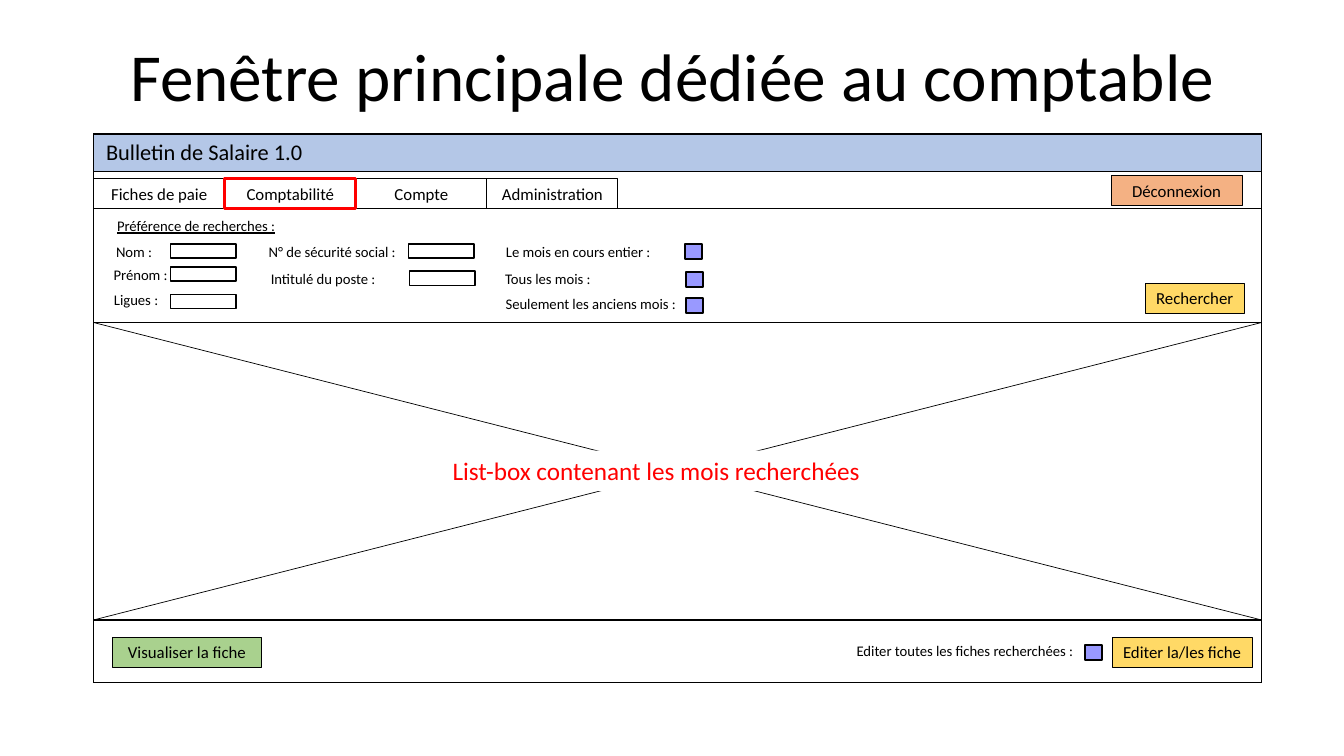
from dataclasses import dataclass
from typing import Optional

from lxml.etree import SubElement
from pptx import Presentation
from pptx.dml.color import RGBColor
from pptx.enum.shapes import MSO_CONNECTOR, MSO_SHAPE
from pptx.enum.text import MSO_ANCHOR, MSO_AUTO_SIZE, PP_ALIGN
from pptx.oxml.ns import qn
from pptx.util import Inches, Pt

COLORS = {
    "black": "000000", "white": "FFFFFF", "red": "FF0000", "blue": "B4C7E7",
    "orange": "F4B183", "yellow": "FFD966", "green": "A9D18E", "violet": "9999FF",
}
FONT = "Calibri"
WINDOW_LEFT, WINDOW_WIDTH = 0.93, 11.58
WINDOW_TOP, WINDOW_BOTTOM = 1.33, 6.77
PANEL_TOP, LIST_TOP, LIST_BOTTOM = 2.07, 3.2, 6.15
TAB_WIDTH, BUTTON_HEIGHT = 1.3, 0.3


@dataclass
class Box:
    left: float
    top: float
    width: float
    height: float
    fill: Optional[str] = None
    line: Optional[str] = "black"
    line_width: float = 1


@dataclass
class Button:
    text: str
    left: float
    top: float
    width: float
    fill: Optional[str] = None
    line: str = "black"
    line_width: float = 0.75


@dataclass
class Label:
    text: str
    left: float
    top: float
    width: float
    underline: bool = False


def color(name: str) -> RGBColor:
    return RGBColor.from_string(COLORS[name])


def write_text(shape, text: str, *, size: float, font_color: str = "black",
               align=PP_ALIGN.CENTER, anchor=MSO_ANCHOR.TOP, wrap: bool = False,
               line_spacing: Optional[float] = None, underline: bool = False) -> None:
    frame = shape.text_frame
    frame.auto_size = MSO_AUTO_SIZE.NONE
    frame.word_wrap = wrap
    frame.vertical_anchor = anchor
    paragraph = frame.paragraphs[0]
    paragraph.alignment = align
    if line_spacing:
        paragraph.line_spacing = line_spacing
    run = paragraph.add_run()
    run.text = text
    run.font.name = FONT
    run.font.size = Pt(size)
    run.font.color.rgb = color(font_color)
    if underline:
        run.font.underline = True


def place(shape, left: float, top: float, width: float, height: float) -> None:
    shape.left, shape.top = Inches(left), Inches(top)
    shape.width, shape.height = Inches(width), Inches(height)


def draw_box(slide, box: Box):
    shape = slide.shapes.add_shape(
        MSO_SHAPE.RECTANGLE, Inches(box.left), Inches(box.top),
        Inches(box.width), Inches(box.height))
    shape.shadow.inherit = False
    if box.fill:
        shape.fill.solid()
        shape.fill.fore_color.rgb = color(box.fill)
    else:
        shape.fill.background()
    if box.line:
        shape.line.color.rgb = color(box.line)
        shape.line.width = Pt(box.line_width)
    else:
        shape.line.fill.background()
    return shape


def draw_button(slide, button: Button) -> None:
    shape = draw_box(slide, Box(button.left, button.top, button.width, BUTTON_HEIGHT,
                                button.fill, button.line, button.line_width))
    write_text(shape, button.text, size=12)


def draw_label(slide, label: Label) -> None:
    shape = slide.shapes.add_textbox(
        Inches(label.left), Inches(label.top), Inches(label.width), Inches(0.28))
    write_text(shape, label.text, size=10.5, underline=label.underline)


def draw_diagonal(slide, start_x: float, end_x: float) -> None:
    connector = slide.shapes.add_connector(
        MSO_CONNECTOR.STRAIGHT, Inches(start_x), Inches(LIST_TOP),
        Inches(end_x), Inches(LIST_BOTTOM))
    connector.line.color.rgb = color("black")
    connector.line.width = Pt(0.5)
    SubElement(connector._element.spPr, qn("a:effectLst"))


def window_band(top: float, bottom: float, fill: Optional[str] = None) -> Box:
    return Box(WINDOW_LEFT, top, WINDOW_WIDTH, bottom - top, fill)


BANDS = [
    window_band(WINDOW_TOP, WINDOW_BOTTOM),
    window_band(WINDOW_TOP, 1.7, "blue"),
    window_band(PANEL_TOP, WINDOW_BOTTOM),
    window_band(LIST_TOP, LIST_BOTTOM),
]
TABS = ["Fiches de paie", "Comptabilité", "Compte", "Administration"]
ACTIVE_TAB = "Comptabilité"
BUTTONS = [
    Button("Déconnexion", 11.02, 1.74, 1.3, "orange"),
    Button("Rechercher", 11.36, 2.81, 0.98, "yellow"),
    Button("Editer la/les fiche", 11.03, 6.32, 1.39, "yellow"),
    Button("Visualiser la fiche", 1.12, 6.32, 1.47, "green"),
]
LABELS = [
    Label("Préférence de recherches :", 1.02, 2.1, 1.85, underline=True),
    Label("Nom :", 1.03, 2.36, 0.6),
    Label("Prénom :", 1.02, 2.59, 0.75),
    Label("Ligues :", 1.01, 2.84, 0.68),
    Label("N° de sécurité social :", 2.55, 2.36, 1.49),
    Label("Intitulé du poste :", 2.46, 2.63, 1.49),
    Label("Le mois en cours entier :", 4.9, 2.36, 1.67),
    Label("Tous les mois :", 4.9, 2.63, 1.07),
    Label("Seulement les anciens mois :", 4.9, 2.88, 1.92),
    Label("Editer toutes les fiches recherchées :", 8.38, 6.32, 2.38),
]
INPUT_FIELDS = [(1.69, 2.42), (1.69, 2.65), (1.69, 2.92), (4.05, 2.42), (4.06, 2.69)]
CHECK_BOXES = [(6.79, 2.42), (6.8, 2.7), (6.8, 2.96), (10.76, 6.4)]


def main() -> None:
    presentation = Presentation()
    presentation.slide_width, presentation.slide_height = Inches(13.33), Inches(7.5)
    slide = presentation.slides.add_slide(presentation.slide_layouts[5])

    # Slide title
    title = slide.shapes.title
    place(title, 0.92, 0.4, 11.5, 0.79)
    write_text(title, "Fenêtre principale dédiée au comptable", size=48,
               anchor=MSO_ANCHOR.BOTTOM, wrap=True, line_spacing=0.8)

    # Window frame and its title bar
    for band in BANDS:
        draw_box(slide, band)
    caption = slide.shapes.add_textbox(
        Inches(WINDOW_LEFT), Inches(1.35), Inches(2.19), Inches(0.33))
    write_text(caption, "Bulletin de Salaire 1.0", size=16,
               anchor=MSO_ANCHOR.BOTTOM, line_spacing=0.8)

    # Tabs, with the active one outlined last
    for index, name in sorted(enumerate(TABS), key=lambda tab: tab[1] == ACTIVE_TAB):
        active = name == ACTIVE_TAB
        draw_button(slide, Button(
            name, WINDOW_LEFT + index * TAB_WIDTH, PANEL_TOP - BUTTON_HEIGHT, TAB_WIDTH,
            line="red" if active else "black", line_width=2.25 if active else 0.75))

    # Search form and buttons
    for button in BUTTONS:
        draw_button(slide, button)
    for label in LABELS:
        draw_label(slide, label)
    for left, top in INPUT_FIELDS:
        draw_box(slide, Box(left, top, 0.65, 0.14))
    for left, top in CHECK_BOXES:
        draw_box(slide, Box(left, top, 0.17, 0.15, "violet", line_width=1.5))

    # Crossed list area with its caption
    window_right = WINDOW_LEFT + WINDOW_WIDTH
    draw_diagonal(slide, WINDOW_LEFT, window_right)
    draw_diagonal(slide, window_right, WINDOW_LEFT)
    list_caption = draw_box(slide, Box(4.39, 4.47, 4.34, 0.4, "white", line=None))
    write_text(list_caption, "List-box contenant les mois recherchées", size=18,
               font_color="red", align=PP_ALIGN.LEFT, wrap=True)

    presentation.save("out.pptx")


if __name__ == "__main__":
    main()
